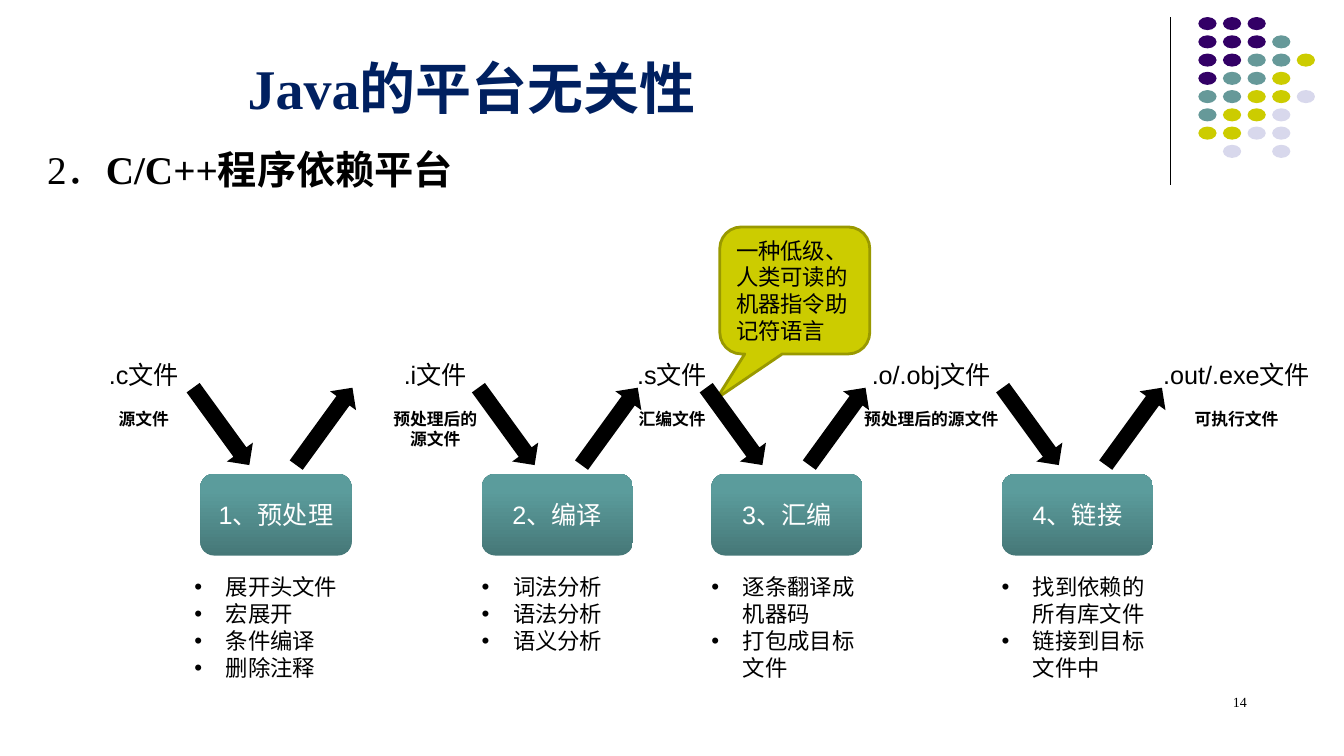
from dataclasses import dataclass
from typing import Any

from lxml.etree import SubElement
from pptx import Presentation
from pptx.dml.color import RGBColor
from pptx.enum.shapes import MSO_CONNECTOR, MSO_SHAPE as Preset
from pptx.enum.text import MSO_ANCHOR as Anchor, PP_ALIGN as Align
from pptx.oxml.ns import qn
from pptx.util import Cm, Pt

Box = tuple[float, float, float, float]

TITLE = {"name": "Times New Roman", "size": Pt(40), "bold": True, "color": "002060"}
NUMBER = {"name": "Times New Roman", "size": Pt(28), "color": "000000"}
HEADING = NUMBER | {"bold": True}
PAGE = NUMBER | {"size": Pt(10)}
FILE = {"name": "Arial", "size": Pt(18), "color": "000000"}
CAPTION = FILE | {"size": Pt(12), "bold": True}
DETAIL = FILE | {"size": Pt(16)}
STEP = FILE | {"color": "FFFFFF"}
CALLOUT = DETAIL | {"name": "Calibri"}

DOT_COLORS = {"P": "330066", "T": "669999", "Y": "CCCC00", "L": "D8D8EC"}
DOT_ROWS = ["PPP", "PPPT", "PPTTY", "PTTY", "TTYYL", "TYYL", "YYLL", " L L"]


@dataclass
class Step:
    title: str
    left: float
    list_left: float
    arrow_left: float
    details: list[str]


@dataclass
class FileLabel:
    name: str
    left: float
    width: float
    captions: list[str]


STEPS = [
    Step("1、预处理", 5.05, 4.65, 4.37, ["展开头文件", "宏展开", "条件编译", "删除注释"]),
    Step("2、编译", 12.14, 11.89, 11.56, ["词法分析", "语法分析", "语义分析"]),
    Step("3、汇编", 17.93, 17.68, 17.3, ["逐条翻译成机器码", "打包成目标文件"]),
    Step("4、链接", 25.25, 24.99, 24.77, ["找到依赖的所有库文件", "链接到目标文件中"]),
]

FILES = [
    FileLabel(".c文件", 2.34, 2.57, ["源文件"]),
    FileLabel(".i文件", 8.94, 4.06, ["预处理后的", "源文件"]),
    FileLabel(".s文件", 14.91, 4.06, ["汇编文件"]),
    FileLabel(".o/.obj文件", 21.44, 4.06, ["预处理后的源文件"]),
    FileLabel(".out/.exe文件", 29.03, 4.27, ["可执行文件"]),
]


def rgb(value: str) -> RGBColor:
    return RGBColor.from_string(value)


def add_run(paragraph: Any, text: str, style: dict[str, Any]) -> None:
    run = paragraph.add_run()
    run.text = text
    for key, value in style.items():
        if key == "color":
            run.font.color.rgb = rgb(value)
        else:
            setattr(run.font, key, value)


def add_text_frame(slide: Any, box: Box, anchor: Anchor = Anchor.TOP) -> Any:
    frame = slide.shapes.add_textbox(*map(Cm, box)).text_frame
    frame.word_wrap = True
    frame.vertical_anchor = anchor
    return frame


def next_paragraph(frame: Any) -> Any:
    first = frame.paragraphs[0]
    return frame.add_paragraph() if first.runs else first


def add_preset(slide: Any, preset: Preset, box: Box, color: str) -> Any:
    shape = slide.shapes.add_shape(preset, *map(Cm, box))
    shape.shadow.inherit = False
    shape.fill.solid()
    shape.fill.fore_color.rgb = rgb(color)
    shape.line.fill.background()
    return shape


def add_divider(slide: Any) -> None:
    ends = map(Cm, (29.49, 0.43, 29.49, 4.65))
    divider = slide.shapes.add_connector(MSO_CONNECTOR.STRAIGHT, *ends)
    divider.line.color.rgb = rgb("000000")
    divider.line.width = Pt(0.75)
    SubElement(divider._element.spPr, qn("a:effectLst"))


def add_dots(slide: Any) -> None:
    for row, codes in enumerate(DOT_ROWS):
        for column, code in enumerate(codes):
            if code in DOT_COLORS:
                box = (30.2 + 0.62 * column, 0.43 + 0.46 * row, 0.46, 0.33)
                add_preset(slide, Preset.OVAL, box, DOT_COLORS[code])


def add_headings(slide: Any) -> None:
    title = add_text_frame(slide, (5.99, 0.33, 20.47, 2.84), Anchor.BOTTOM)
    add_run(title.paragraphs[0], "Java的平台无关性", TITLE)
    heading = add_text_frame(slide, (0.94, 3.53, 12.07, 2.21)).paragraphs[0]
    add_run(heading, "2．", NUMBER)
    add_run(heading, "C/C++程序依赖平台", HEADING)
    page = add_text_frame(slide, (23.77, 17.35, 7.9, 1.27)).paragraphs[0]
    page.alignment = Align.RIGHT
    add_run(page, "14", PAGE)


def add_step(slide: Any, step: Step) -> None:
    shape = add_preset(slide, Preset.ROUNDED_RECTANGLE, (step.left, 11.94, 3.81, 2.06), "5B9C9C")
    shape.fill.gradient()
    shape.fill.gradient_angle = 90
    for stop, position, color in zip(shape.fill.gradient_stops, (0, 0.8), ("467878", "5B9C9C")):
        stop.position = position
        stop.color.rgb = rgb(color)
    shape.text_frame.vertical_anchor = Anchor.MIDDLE
    paragraph = shape.text_frame.paragraphs[0]
    paragraph.alignment = Align.CENTER
    add_run(paragraph, step.title, STEP)


def add_details(slide: Any, step: Step) -> None:
    frame = add_text_frame(slide, (step.list_left, 14.33, 4.32, 3))
    for detail in step.details:
        paragraph = next_paragraph(frame)
        properties = paragraph._p.get_or_add_pPr()
        properties.set("marL", str(Cm(0.79)))
        properties.set("indent", str(-Cm(0.79)))
        SubElement(properties, qn("a:buFont")).set("typeface", "Arial")
        SubElement(properties, qn("a:buChar")).set("char", "•")
        add_run(paragraph, detail, DETAIL)


def add_file_label(slide: Any, label: FileLabel) -> None:
    frame = add_text_frame(slide, (label.left, 8.92, label.width, 2.06))
    lines = [(label.name, FILE)] + [(caption, CAPTION) for caption in label.captions]
    for index, (text, style) in enumerate(lines):
        paragraph = next_paragraph(frame)
        paragraph.alignment = Align.CENTER
        if index == 1:
            paragraph.space_before = Pt(14)
        add_run(paragraph, text, style)


def add_callout(slide: Any) -> None:
    box = (18.14, 5.72, 3.78, 3.2)
    callout = add_preset(slide, Preset.ROUNDED_RECTANGULAR_CALLOUT, box, "CCCC00")
    for index, value in enumerate((-0.52, 0.85, 0.17)):
        callout.adjustments[index] = value
    callout.line.color.rgb = rgb("999900")
    callout.line.width = Pt(2)
    callout.text_frame.vertical_anchor = Anchor.MIDDLE
    paragraph = callout.text_frame.paragraphs[0]
    paragraph.alignment = Align.LEFT
    add_run(paragraph, "一种低级、人类可读的机器指令助记符语言", CALLOUT)


def add_arrows(slide: Any, step: Step) -> None:
    for offset, rotation in ((0, 54), (2.6, 306)):
        box = (step.arrow_left + offset, 10.34, 2.41, 0.81)
        add_preset(slide, Preset.RIGHT_ARROW, box, "000000").rotation = rotation


def main() -> None:
    presentation = Presentation()
    presentation.slide_width, presentation.slide_height = Cm(33.87), Cm(19.05)
    slide = presentation.slides.add_slide(presentation.slide_layouts[6])
    add_divider(slide)
    add_dots(slide)
    add_headings(slide)
    for step in STEPS:
        add_step(slide, step)
        add_details(slide, step)
    for label in FILES:
        add_file_label(slide, label)
    add_callout(slide)
    for step in STEPS:
        add_arrows(slide, step)
    presentation.save("out.pptx")


if __name__ == "__main__":
    main()
